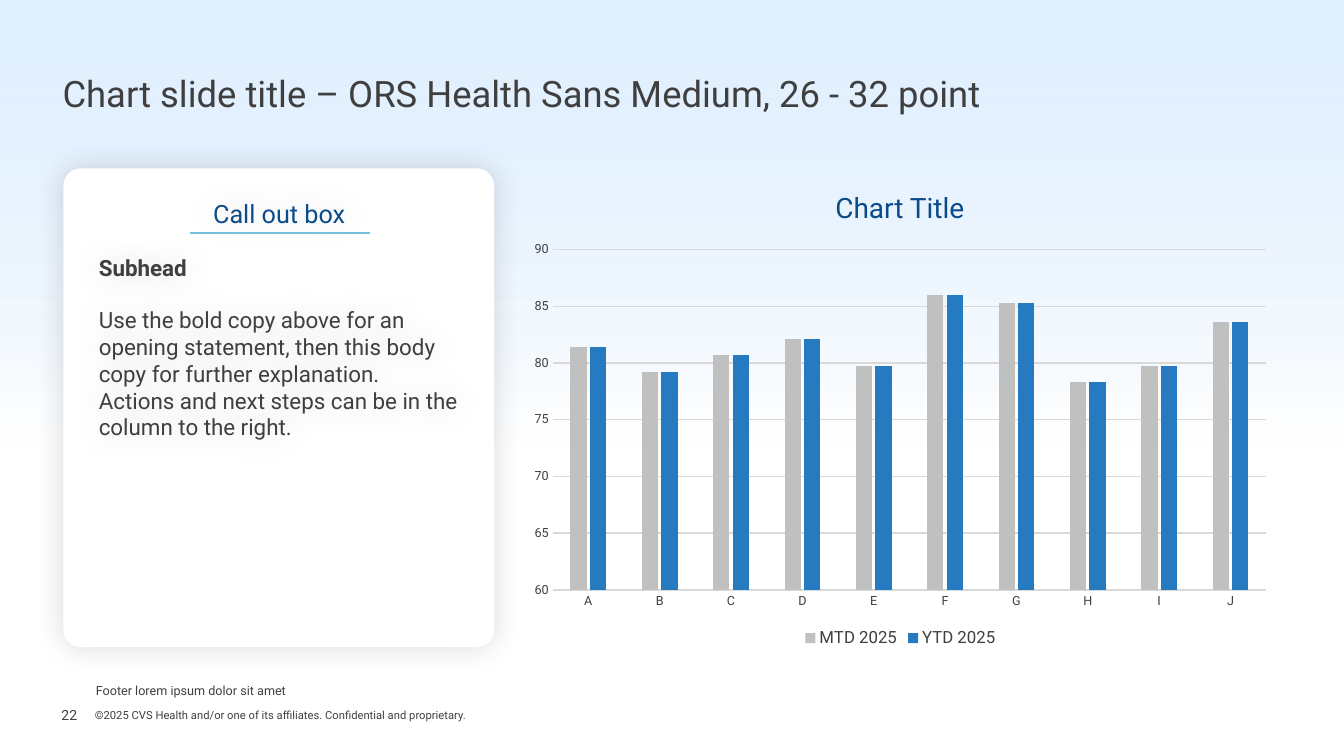
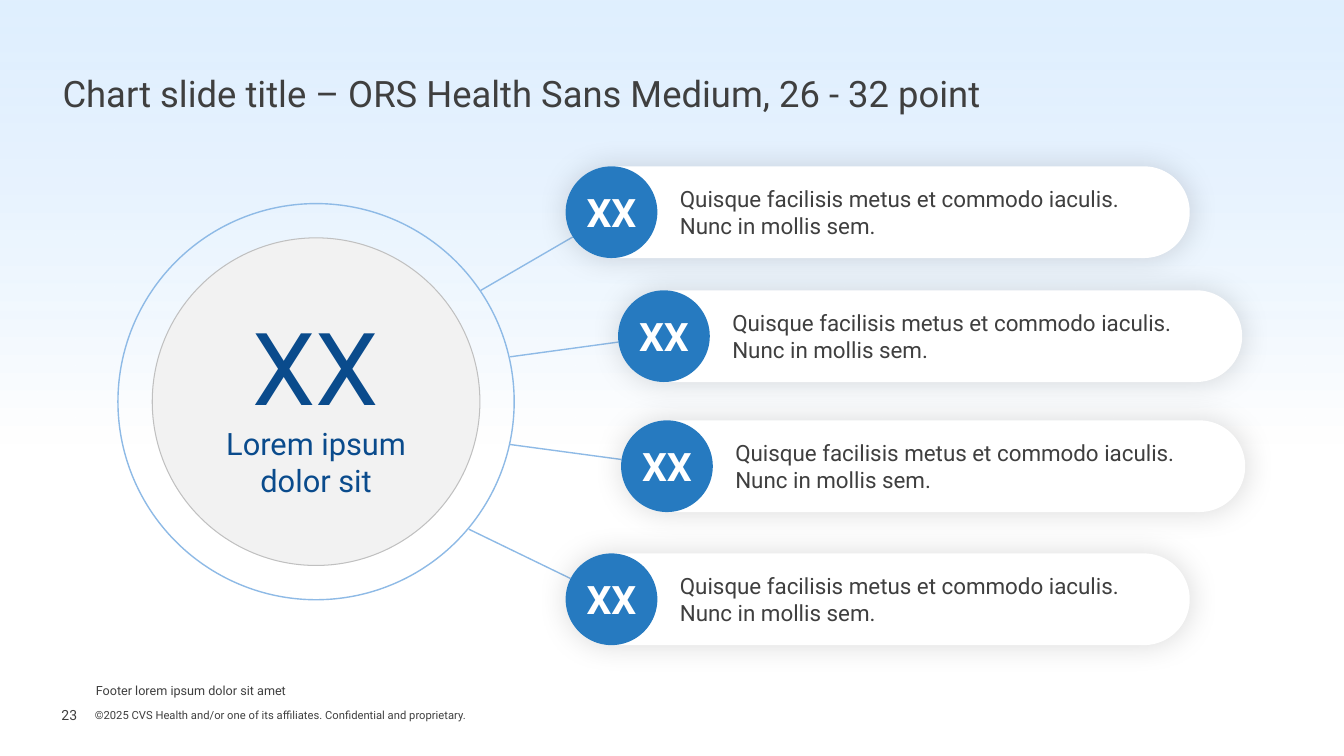
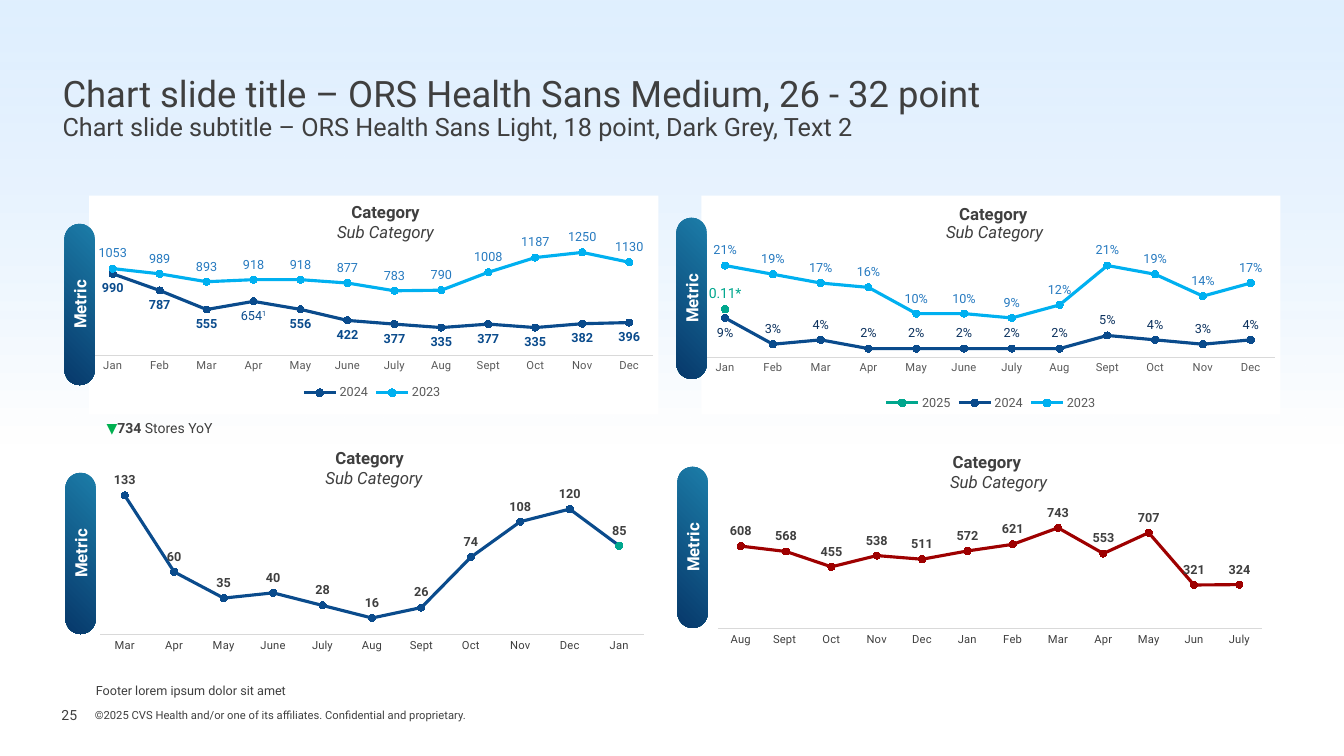
from dataclasses import dataclass

from pptx import Presentation
from pptx.chart.data import CategoryChartData
from pptx.dml.color import RGBColor
from pptx.enum.chart import (XL_CHART_TYPE, XL_LABEL_POSITION, XL_LEGEND_POSITION,
                             XL_MARKER_STYLE, XL_TICK_MARK)
from pptx.enum.shapes import MSO_CONNECTOR, MSO_SHAPE
from pptx.enum.text import MSO_ANCHOR, MSO_AUTO_SIZE, PP_ALIGN
from pptx.oxml import parse_xml
from pptx.oxml.ns import nsdecls, qn
from pptx.util import Inches, Pt


@dataclass(frozen=True)
class Theme:
    font: str = "Roboto"
    text: str = "3F3F3F"
    axis: str = "595959"
    navy: str = "0A4B8C"
    ink: str = "0B315E"
    blue: str = "267AC0"
    cyan: str = "00B0F0"
    teal: str = "00A78E"
    red: str = "9E0000"
    green: str = "00B050"
    grey: str = "C0C0C0"
    slate: str = "868686"
    grid: str = "D9D9D9"
    disc: str = "F2F2F2"
    ring: str = "8EBAE6"
    rule: str = "71C0DC"
    sky: str = "CCE6FF"
    white: str = "FFFFFF"
    pill: tuple = ("07386A", "1C7DA9")
    figure: int = 72
    badge: int = 28
    title: int = 26
    disc_text: int = 22
    chart_title: int = 20
    subtitle: int = 18
    heading: int = 18
    body: int = 16
    label: int = 12
    small: int = 10
    note: int = 9
    tiny: int = 8


T = Theme()
rgb = RGBColor.from_string
ABOVE, BELOW = XL_LABEL_POSITION.ABOVE, XL_LABEL_POSITION.BELOW
CENTER = {"alignment": PP_ALIGN.CENTER}
FRAME = {"word_wrap": True, "auto_size": MSO_AUTO_SIZE.NONE}
FLUSH = FRAME | {f"margin_{side}": 0 for side in ("left", "top", "right", "bottom")}
MIDDLE = {"vertical_anchor": MSO_ANCHOR.MIDDLE}


def write(tf, paras, frame=None):
    """Fill a text frame from (paragraph format, [(text, run format), ...]) pairs."""
    for name, value in (frame or {}).items():
        setattr(tf, name, value)
    for i, (p_format, runs) in enumerate(paras):
        p = tf.paragraphs[0] if i == 0 else tf.add_paragraph()
        for name, value in p_format.items():
            setattr(p, name, value)
        for text, r_format in runs:
            if text == "\n":
                p.add_line_break()
                continue
            r = p.add_run()
            r.text = text
            values = {"color": T.text} | r_format
            r.font.color.rgb = rgb(values.pop("color"))
            r.font.size = Pt(values.pop("size"))
            r.font.name = T.font
            for name, value in values.items():
                setattr(r.font, name, value)


def place(parent, index, **bounds):
    """Give a chart part a manual layout in fractions of the chart."""
    for old in parent.findall(qn("c:layout")):
        parent.remove(old)
    target = '<c:layoutTarget val="inner"/>' if "w" in bounds else ""
    modes = "".join(f'<c:{k}Mode val="edge"/>' for k in bounds if k in "xy")
    values = "".join(f'<c:{k} val="{v}"/>' for k, v in bounds.items())
    parent.insert(index, parse_xml(
        f'<c:layout {nsdecls("c")}><c:manualLayout>{target}{modes}{values}'
        '</c:manualLayout></c:layout>'))


prs = Presentation()
prs.slide_width, prs.slide_height = Inches(13.33), Inches(7.5)

# Titles, page numbers and footers
TITLE = "Chart slide title – ORS Health Sans Medium, 26 - 32 point"
SUBTITLE = "Chart slide subtitle – ORS Health Sans Light, 18 point, Dark Grey, Text 2"
slides = []
for number, layout, subtitle in [(22, 1, ""), (23, 1, ""), (25, 5, SUBTITLE)]:
    s = prs.slides.add_slide(prs.slide_layouts[layout])
    slides.append(s)
    title = s.shapes.title
    title.left, title.top = Inches(0.62), Inches(0.75)
    title.width, title.height = Inches(12.05), Inches(0.78 if subtitle else 0.49)
    runs = [(TITLE, {"size": T.title})]
    if subtitle:
        runs += [("\n", {}), (subtitle, {"size": T.subtitle})]
    write(title.text_frame, [({"alignment": PP_ALIGN.LEFT, "line_spacing": 0.9}, runs)],
          FLUSH | {"vertical_anchor": MSO_ANCHOR.TOP})
    for text, size, box, frame in [
            (str(number), T.small, (0.61, 6.97, 0.39, 0.25), FLUSH | MIDDLE),
            ("Footer lorem ipsum dolor sit amet", T.note, (0.95, 6.78, 9.39, 0.13), FLUSH)]:
        sp = s.shapes.add_textbox(*map(Inches, box))
        write(sp.text_frame, [({}, [(text, {"size": size})])], frame)
chart_slide, hub_slide, grid_slide = slides

# Sky band and copyright line, moved to the master
band = chart_slide.shapes.add_shape(MSO_SHAPE.RECTANGLE, 0, 0, prs.slide_width, Inches(4.4))
band.shadow.inherit = False
band.line.fill.background()
band.fill.gradient()
band.fill.gradient_angle = 270
for stop, color in zip(band.fill.gradient_stops, (T.sky, T.white)):
    stop.color.rgb = rgb(color)
first_color = next(band._element.spPr.iter(qn("a:srgbClr")))
first_color.append(parse_xml(f'<a:alpha {nsdecls("a")} val="60000"/>'))
rights = chart_slide.shapes.add_textbox(*map(Inches, (0.94, 7.03, 8.8, 0.13)))
write(rights.text_frame,
      [({}, [("©2025 CVS Health and/or one of its affiliates. Confidential and proprietary.",
              {"size": T.tiny})])], FLUSH | {"vertical_anchor": MSO_ANCHOR.BOTTOM})
for i, sp in enumerate((band, rights)):
    prs.slide_master.shapes._spTree.insert(2 + i, sp._element)

# Call out card
card = chart_slide.shapes.add_shape(MSO_SHAPE.ROUNDED_RECTANGLE,
                                    *map(Inches, (0.63, 1.67, 4.27, 4.75)))
card.adjustments[0] = 0.04
card.fill.solid()
card.fill.fore_color.rgb = rgb(T.white)
card.line.fill.background()
chart_slide.shapes._spTree.insert(2, card._element)

# Body placeholders: call out text and hub disc
callout, disc = chart_slide.placeholders[1], hub_slide.placeholders[1]
for sp, box, shape in [(callout, (0.88, 1.84, 3.78, 4.35), "rect"),
                       (disc, (1.51, 2.36, 3.25, 3.25), "ellipse")]:
    sp.left, sp.top, sp.width, sp.height = map(Inches, box)
    sp._element.spPr.append(parse_xml(
        f'<a:prstGeom {nsdecls("a")} prst="{shape}"><a:avLst/></a:prstGeom>'))
disc.fill.solid()
disc.fill.fore_color.rgb = rgb(T.disc)
disc.line.color.rgb = rgb(T.grey)
disc.line.width = Pt(0.75)
GAP = {"space_before": Pt(18)}
write(callout.text_frame, [
    (CENTER | {"line_spacing": 1.1, "space_before": Pt(0)},
     [("Call out box", {"size": T.heading, "color": T.navy})]),
    (GAP, [("Subhead", {"size": T.body, "bold": True})]),
    (GAP, [("Use the bold copy above for an opening statement, then this body copy for "
            "further explanation. Actions and next steps can be in the column to the right.",
            {"size": T.body})])],
    FRAME | {f"margin_{side}": Inches(0.1) for side in ("left", "top", "right", "bottom")})
TIGHT = CENTER | {"space_before": Pt(0)}
write(disc.text_frame, [
    (TIGHT, [("XX", {"size": T.figure, "color": T.navy})]),
    (TIGHT, [("Lorem ipsum dolor sit", {"size": T.disc_text, "color": T.navy})])],
    FLUSH | MIDDLE)
for p in (*callout.text_frame.paragraphs, *disc.text_frame.paragraphs):
    pPr = p._p.get_or_add_pPr()
    pPr.set("marL", "0")
    pPr.set("indent", "0")
    pPr.append(parse_xml(f'<a:buNone {nsdecls("a")}/>'))

# Hub ring
ring = hub_slide.shapes.add_shape(MSO_SHAPE.OVAL, *map(Inches, (1.17, 2.02, 3.93, 3.93)))
ring.shadow.inherit = False
ring.fill.background()
ring.line.color.rgb = rgb(T.ring)
ring.line.width = Pt(1)

# Heading rule and hub spokes
for s, color, ends in [(chart_slide, T.rule, (1.88, 2.31, 3.67, 2.31)),
                       (hub_slide, T.ring, (4.77, 2.88, 6.13, 2.09)),
                       (hub_slide, T.ring, (4.65, 5.25, 5.99, 5.9)),
                       (hub_slide, T.ring, (5.06, 3.54, 6.6, 3.33)),
                       (hub_slide, T.ring, (5.06, 4.41, 6.62, 4.62))]:
    line = s.shapes.add_connector(MSO_CONNECTOR.STRAIGHT, *map(Inches, ends))
    line.line.color.rgb = rgb(color)
    line.line.width = Pt(1)
    line._element.spPr.append(parse_xml(f'<a:effectLst {nsdecls("a")}/>'))

# Hub bars with round badges
soft = [card, callout]
for left, top in [(5.61, 1.65), (6.13, 2.88), (6.16, 4.17), (5.61, 5.49)]:
    for width, fill, text, r_format, p_format, inset in [
            (6.19, T.white, "Quisque facilisis metus et commodo iaculis. Nunc in mollis sem.",
             {"size": T.body}, {"alignment": PP_ALIGN.LEFT},
             {"margin_left": Inches(1), "margin_right": Inches(0.2)}),
            (0.91, T.blue, "XX", {"size": T.badge, "color": T.white, "bold": True},
             CENTER, {})]:
        sp = hub_slide.shapes.add_shape(MSO_SHAPE.ROUNDED_RECTANGLE,
                                        *map(Inches, (left, top, width, 0.91)))
        sp.adjustments[0] = 0.5
        sp.shadow.inherit = False
        sp.fill.solid()
        sp.fill.fore_color.rgb = rgb(fill)
        sp.line.fill.background()
        write(sp.text_frame, [(p_format, [(text, r_format)])], FLUSH | MIDDLE | inset)
        if fill == T.white:
            soft.append(sp)

# Soft shadows
for sp in soft:
    sp.shadow.inherit = False
    sp._element.spPr.find(qn("a:effectLst")).append(parse_xml(
        f'<a:outerShdw {nsdecls("a")} blurRad="{Pt(22)}" dist="0" dir="0" algn="ctr" '
        'rotWithShape="0"><a:srgbClr val="000000"><a:alpha val="14000"/></a:srgbClr>'
        '</a:outerShdw>'))

# Chart data
MONTHS = ["Jan", "Feb", "Mar", "Apr", "May", "June",
          "July", "Aug", "Sept", "Oct", "Nov", "Dec"]
SCORES = [81.4, 79.2, 80.7, 82.1, 79.7, 86, 85.3, 78.3, 79.7, 83.6]
BOLD = {"color": T.text, "bold": True, "position": ABOVE}
UPPER = {"color": T.blue, "bold": False, "position": ABOVE}
CATEGORY = ({}, [("Category", {"size": T.label, "bold": True})])
SUB = [("Sub Category", {"size": T.label, "bold": False, "italic": True})]
specs = [
    dict(slide=chart_slide, box=(5.15, 2.32, 7.56, 4.15), cats=list("ABCDEFGHIJ"),
         scale=(60, 90), axis=(T.note, T.text), legend=(T.label, T.text), fmt="General",
         series=[("MTD 2025", SCORES, T.grey, None), ("YTD 2025", SCORES, T.blue, None)]),
    dict(slide=grid_slide, box=(0.88, 1.94, 5.65, 2.17), cats=MONTHS,
         scale=(0, 1250), plot=(0, 0.26, 0.99, 0.47), axis=(T.tiny, T.axis),
         legend=(T.note, T.axis), legend_at=(0.37, 0.85), fmt="0", fill=T.white,
         title=[CATEGORY, ({}, SUB)], title_at=(0.43, 0.01),
         series=[("2024", [990, 787, 555, 654, 556, 422, 377, 335, 377, 335, 382, 396],
                  T.navy, {"color": T.navy, "bold": True, "position": BELOW}),
                 ("2023", [1053, 989, 893, 918, 918, 877, 783, 790, 1008, 1187, 1250, 1130],
                  T.cyan, UPPER)]),
    dict(slide=grid_slide, box=(0.88, 4.4, 5.62, 2.11), cats=MONTHS[2:] + ["Jan"],
         scale=(0, 140), plot=(0.02, 0.21, 0.96, 0.69), axis=(T.tiny, T.text), fmt="0",
         fill=T.white, title=[CATEGORY], title_at=(0.43, 0),
         series=[("Series 1", [None] * 11, T.slate, BOLD),
                 ("Series 2", [133, 60, 35, 40, 28, 16, 26, 74, 108, 120, 85],
                  T.navy, BOLD)]),
    dict(slide=grid_slide, box=(6.95, 1.94, 5.75, 2.17), cats=MONTHS,
         scale=(0, 0.3), plot=(0, 0.14, 0.99, 0.6), axis=(T.tiny, T.axis),
         legend=(T.note, T.axis), fmt="0%", fill=T.white,
         title=[CATEGORY], title_at=(0.44, 0.02),
         series=[("2025", [0.11] + [None] * 11, T.teal, UPPER | {"color": T.teal}),
                 ("2024", [0.09, 0.03, 0.04, 0.02, 0.02, 0.02, 0.02, 0.02, 0.05, 0.04, 0.03,
                           0.04], T.navy, UPPER | {"color": T.ink}),
                 ("2023", [0.21, 0.19, 0.17, 0.16, 0.1, 0.1, 0.09, 0.12, 0.21, 0.19, 0.14,
                           0.17], T.cyan, UPPER)]),
    dict(slide=grid_slide, box=(6.95, 4.38, 5.74, 2.11),
         cats=["Aug", "Sept ", "Oct", "Nov", "Dec", "Jan", "Feb", "Mar", "Apr", "May", "Jun",
               "July"],
         scale=(0, 800), plot=(0.03, 0.37, 0.94, 0.51), axis=(T.tiny, T.text), fmt="0",
         title=[CATEGORY], title_at=(0.43, 0.03),
         series=[("Series 1", [608, 568, 455, 538, 511, 572, 621, 743, 553, 707, 321, 324],
                  T.red, BOLD)]),
]

# Charts
charts = []
for row in specs:
    columns = row["slide"] is chart_slide
    data = CategoryChartData(number_format=row["fmt"])
    data.categories = row["cats"]
    for name, values, _, _ in row["series"]:
        data.add_series(name, values)
    kind = XL_CHART_TYPE.COLUMN_CLUSTERED if columns else XL_CHART_TYPE.LINE_MARKERS
    chart = row["slide"].shapes.add_chart(kind, *map(Inches, row["box"]), data).chart
    charts.append(chart)
    chart.font.name, chart.font.size = T.font, Pt(T.small)
    fill = row.get("fill")
    paint = f'<a:solidFill><a:srgbClr val="{fill}"/></a:solidFill>' if fill else "<a:noFill/>"
    chart._chartSpace.find(qn("c:chart")).addnext(parse_xml(
        f'<c:spPr {nsdecls("c", "a")}>{paint}<a:ln><a:noFill/></a:ln></c:spPr>'))
    if "plot" in row:
        place(chart._chartSpace.chart.plotArea, 0, **dict(zip("xywh", row["plot"])))

    # Title and legend
    chart.has_title = "title" in row
    if chart.has_title:
        write(chart.chart_title.text_frame, row["title"])
        place(chart.chart_title._element, 1, **dict(zip("xy", row["title_at"])))
    chart.has_legend = "legend" in row
    if chart.has_legend:
        legend = chart.legend
        legend.position = XL_LEGEND_POSITION.BOTTOM
        legend.include_in_layout = False
        size, color = row["legend"]
        legend.font.name, legend.font.size = T.font, Pt(size)
        legend.font.color.rgb = rgb(color)
        if "legend_at" in row:
            place(legend._element, 1, **dict(zip("xy", row["legend_at"])))

    # Axes
    size, color = row["axis"]
    for axis in (chart.category_axis, chart.value_axis):
        axis.major_tick_mark = axis.minor_tick_mark = XL_TICK_MARK.NONE
        font = axis.tick_labels.font
        font.name, font.size = T.font, Pt(size)
        font.color.rgb = rgb(color)
    chart.category_axis.format.line.color.rgb = rgb(T.grid)
    chart.category_axis.format.line.width = Pt(0.75)
    value_axis = chart.value_axis
    value_axis.minimum_scale, value_axis.maximum_scale = row["scale"]
    value_axis.visible = value_axis.has_major_gridlines = columns
    if columns:
        value_axis.major_unit = 5
        value_axis.format.line.fill.background()
        value_axis.major_gridlines.format.line.color.rgb = rgb(T.grid)
        value_axis.major_gridlines.format.line.width = Pt(1)

    # Series
    plot = chart.plots[0]
    plot.vary_by_categories = False
    if columns:
        plot.gap_width, plot.overlap = 219, -20
    for series, (_, _, color, label) in zip(plot.series, row["series"]):
        if columns:
            series.format.fill.solid()
            series.format.fill.fore_color.rgb = rgb(color)
            continue
        series.smooth = False
        series.format.line.color.rgb = rgb(color)
        series.format.line.width = Pt(2.25)
        series.marker.style, series.marker.size = XL_MARKER_STYLE.CIRCLE, 5
        series.marker.format.fill.solid()
        series.marker.format.fill.fore_color.rgb = rgb(color)
        series.marker.format.line.color.rgb = rgb(color)
        labels = series.data_labels
        labels.show_value = True
        labels.number_format, labels.number_format_is_linked = row["fmt"], False
        labels.position = label["position"]
        labels.font.name, labels.font.size = T.font, Pt(T.note)
        labels.font.bold = label["bold"]
        labels.font.color.rgb = rgb(label["color"])

# Single points: footnoted, starred and lowered labels, closing marker
stores, trend, shares = charts[1:4]
footnoted = stores.plots[0].series[0].points[3].data_label
note = {"size": T.note, "color": T.navy, "bold": False}
write(footnoted.text_frame, [({}, [("654", note), ("1", note)])])
footnoted.text_frame.paragraphs[0].runs[1].font._element.set("baseline", "30000")
footnoted.position = BELOW
starred = shares.plots[0].series[0].points[0].data_label
write(starred.text_frame, [({}, [("0.11*", {"size": T.small, "color": T.teal, "bold": False})])])
starred.position = ABOVE
lowered = shares.plots[0].series[1].points[0].data_label
lowered.font.name, lowered.font.size = T.font, Pt(T.note)
lowered.font.color.rgb = rgb(T.ink)
lowered.position = BELOW
closing = trend.plots[0].series[1].points[10]
closing.format.line.color.rgb = rgb(T.teal)
closing.format.line.width = Pt(2.25)
closing.marker.style, closing.marker.size = XL_MARKER_STYLE.CIRCLE, 5
closing.marker.format.fill.solid()
closing.marker.format.fill.fore_color.rgb = rgb(T.teal)
closing.marker.format.line.color.rgb = rgb(T.teal)

# Chart captions
for s, box, p_format, runs in [
        (chart_slide, (7.05, 1.84, 3.75, 0.34), CENTER,
         [("Chart Title", {"size": T.chart_title, "color": T.navy})]),
        (grid_slide, (0.96, 4.11, 5.78, 0.27), {},
         [("▼", {"size": T.small, "color": T.green}),
          ("734", {"size": T.small, "bold": True}), (" Stores YoY", {"size": T.small})]),
        (grid_slide, (0.88, 4.59, 5.66, 0.3), CENTER, SUB),
        (grid_slide, (7.06, 2.15, 5.61, 0.3), CENTER, SUB),
        (grid_slide, (7.1, 4.63, 5.61, 0.3), CENTER, SUB)]:
    sp = s.shapes.add_textbox(*map(Inches, box))
    write(sp.text_frame, [(p_format, runs)], FRAME)

# Metric tabs
for left, top in [(-0.01, 2.87), (0, 5.34), (6.06, 2.81), (6.07, 5.28)]:
    sp = grid_slide.shapes.add_shape(MSO_SHAPE.ROUNDED_RECTANGLE,
                                     *map(Inches, (left, top, 1.6, 0.3)))
    sp.rotation = 270
    sp.adjustments[0] = 0.5
    sp.shadow.inherit = False
    sp.line.fill.background()
    sp.fill.gradient()
    for stop, color in zip(sp.fill.gradient_stops, T.pill):
        stop.color.rgb = rgb(color)
    lin = next(sp._element.spPr.iter(qn("a:lin")))
    lin.getparent().replace(lin, parse_xml(
        f'<a:path {nsdecls("a")} path="circle"><a:fillToRect t="100000" r="100000"/></a:path>'))
    write(sp.text_frame,
          [(CENTER, [("Metric", {"size": T.label, "color": T.white, "bold": True})])],
          FRAME | MIDDLE)

prs.save("out.pptx")
